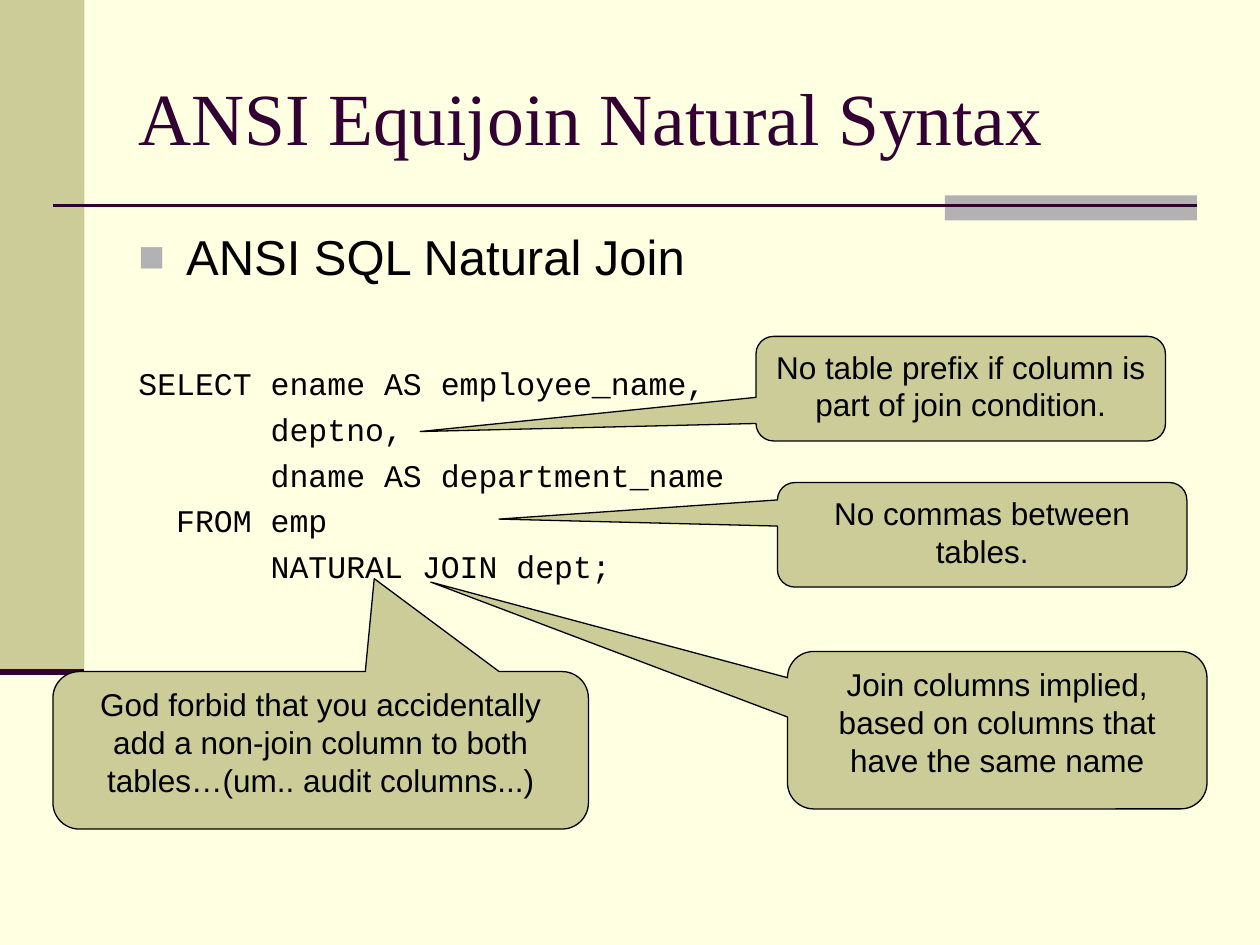
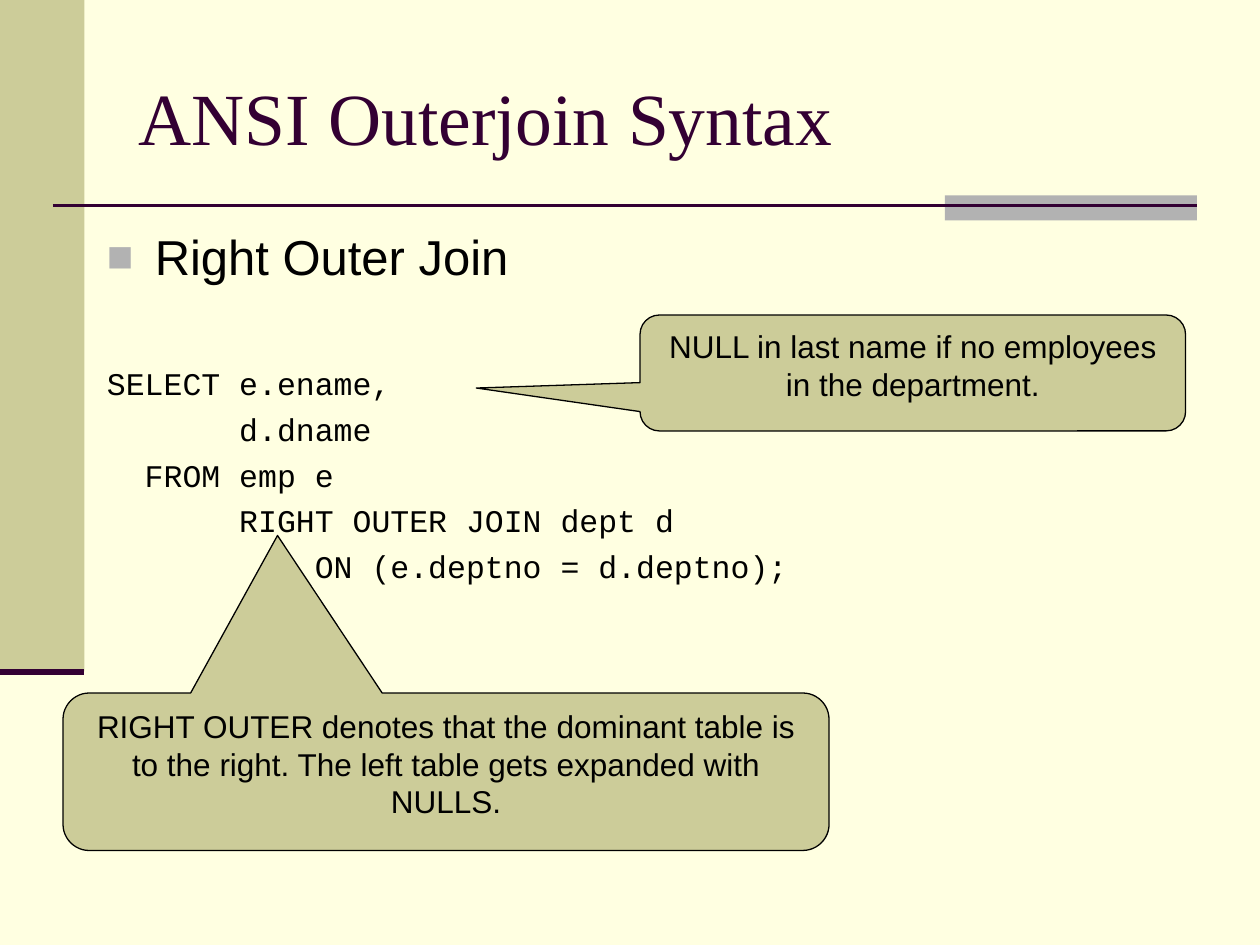
from dataclasses import dataclass

from lxml.etree import SubElement as Sub
from pptx import Presentation
from pptx.dml.color import RGBColor
from pptx.enum.shapes import MSO_CONNECTOR as Link, MSO_SHAPE as Form
from pptx.enum.text import MSO_ANCHOR as Anchor, PP_ALIGN as Align
from pptx.oxml.ns import qn
from pptx.slide import Slide
from pptx.util import Inches, Pt

INK = {
    "page": "FFFFE1",
    "sand": "CCCC99",
    "gray": "B2B2B2",
    "plum": "330033",
    "text": "000000",
}
SERIF, SANS, MONO = "Times New Roman", "Arial", "Courier New"
LEAD, GAP = 45, 4.5
HANG = 0.38


@dataclass
class Box:
    left: float
    top: float
    width: float
    height: float

    def place(self) -> tuple:
        return tuple(Inches(v) for v in (self.left, self.top, self.width, self.height))


@dataclass
class Rule:
    left: float
    right: float
    top: float
    weight: float


@dataclass
class Note:
    box: Box
    tip: tuple[float, float]
    text: str


@dataclass
class Page:
    title: str
    head: str
    body: Box
    code: list[str]
    notes: list[Note]


BANDS = [(Box(0, 0, 0.67, 5.33), "sand"), (Box(7.5, 1.55, 2, 0.2), "gray")]
RULES = [Rule(0.42, 9.5, 1.63, 1.5), Rule(0, 0.67, 5.33, 3.5)]
TITLE = Box(1, 0.3, 8.5, 1.25)

PAGES = [
    Page(
        "ANSI Equijoin Natural Syntax",
        "ANSI SQL Natural Join",
        Box(1, 1.75, 8.5, 4.95),
        [
            "SELECT ename AS employee_name,",
            "       deptno,",
            "       dname AS department_name",
            "  FROM emp",
            "       NATURAL JOIN dept;",
        ],
        [
            Note(Box(6.25, 5.17, 3.33, 1.25), (-1.35, -0.94),
                 "Join columns implied, based on columns that have the same name"),
            Note(Box(6, 2.67, 3.25, 0.83), (-1.32, 0.41),
                 "No table prefix if column is part of join condition."),
            Note(Box(6.17, 3.83, 3.25, 0.83), (-1.18, -0.15),
                 "No commas between tables."),
            Note(Box(0.42, 5.33, 4.25, 1.25), (0.1, -1.09),
                 "God forbid that you accidentally add a non-join column "
                 "to both tables…(um.. audit columns...)"),
        ],
    ),
    Page(
        "ANSI Outerjoin Syntax",
        "Right Outer Join",
        Box(0.75, 1.75, 9.25, 4.95),
        [
            "SELECT e.ename,",
            "       d.dname",
            "  FROM emp e",
            "       RIGHT OUTER JOIN dept d",
            "           ON (e.deptno = d.deptno);",
        ],
        [
            Note(Box(0.5, 5.5, 6.08, 1.25), (-0.22, -1.5),
                 "RIGHT OUTER denotes that the dominant table is to the right. "
                 "The left table gets expanded with NULLS."),
            Note(Box(5.08, 2.5, 4.33, 0.92), (-0.8, 0.13),
                 "NULL in last name if no employees in the department."),
        ],
    ),
]


def tint(name: str) -> RGBColor:
    return RGBColor.from_string(INK[name])


def write(para, text: str, face: str, size: float, ink: str = "text") -> None:
    run = para.add_run()
    run.text = text
    run.font.name = face
    run.font.size = Pt(size)
    run.font.color.rgb = tint(ink)


def frame(slide: Slide, box: Box, anchor: Anchor = Anchor.TOP):
    area = slide.shapes.add_textbox(*box.place()).text_frame
    area.word_wrap = True
    area.vertical_anchor = anchor
    return area


def shape(slide: Slide, form: Form, box: Box, ink: str):
    item = slide.shapes.add_shape(form, *box.place())
    item.shadow.inherit = False
    item.fill.solid()
    item.fill.fore_color.rgb = tint(ink)
    item.line.fill.background()
    return item


def stroke(slide: Slide, rule: Rule) -> None:
    top = Inches(rule.top)
    line = slide.shapes.add_connector(
        Link.STRAIGHT, Inches(rule.left), top, Inches(rule.right), top)
    line.line.color.rgb = tint("plum")
    line.line.width = Pt(rule.weight)
    Sub(line._element.spPr, qn("a:effectLst"))


def bullet(para) -> None:
    props = para._p.get_or_add_pPr()
    props.set("marL", str(Inches(HANG)))
    props.set("indent", str(-Inches(HANG)))
    color = Sub(props, qn("a:buClr"))
    Sub(color, qn("a:srgbClr"), val=INK["gray"])
    Sub(props, qn("a:buSzPct"), val="90000")
    Sub(props, qn("a:buFont"), typeface=SANS)
    Sub(props, qn("a:buChar"), char="■")


def decor(slide: Slide) -> None:
    fill = slide.background.fill
    fill.solid()
    fill.fore_color.rgb = tint("page")
    for box, ink in BANDS:
        shape(slide, Form.RECTANGLE, box, ink)
    for rule in RULES:
        stroke(slide, rule)


def callout(slide: Slide, note: Note) -> None:
    item = shape(slide, Form.ROUNDED_RECTANGULAR_CALLOUT, note.box, "sand")
    item.line.color.rgb = tint("text")
    item.line.width = Pt(0.75)
    for i, value in enumerate((*note.tip, 0.167)):
        item.adjustments[i] = value
    area = item.text_frame
    area.word_wrap = True
    area.vertical_anchor = Anchor.TOP
    para = area.paragraphs[0]
    para.alignment = Align.CENTER
    write(para, note.text, SANS, 18)


def draw(slide: Slide, page: Page) -> None:
    decor(slide)
    title = frame(slide, TITLE, Anchor.MIDDLE)
    write(title.paragraphs[0], page.title, SERIF, 42, "plum")
    body = frame(slide, page.body)
    head = body.paragraphs[0]
    bullet(head)
    write(head, page.head, SANS, 28)
    for i, text in enumerate(page.code):
        para = body.add_paragraph()
        para.space_before = Pt(GAP if i else LEAD)
        write(para, text, MONO, 18)
    for note in page.notes:
        callout(slide, note)


def main() -> None:
    deck = Presentation()
    deck.slide_width, deck.slide_height = Inches(10), Inches(7.5)
    for page in PAGES:
        draw(deck.slides.add_slide(deck.slide_layouts[6]), page)
    deck.save("out.pptx")


if __name__ == "__main__":
    main()
